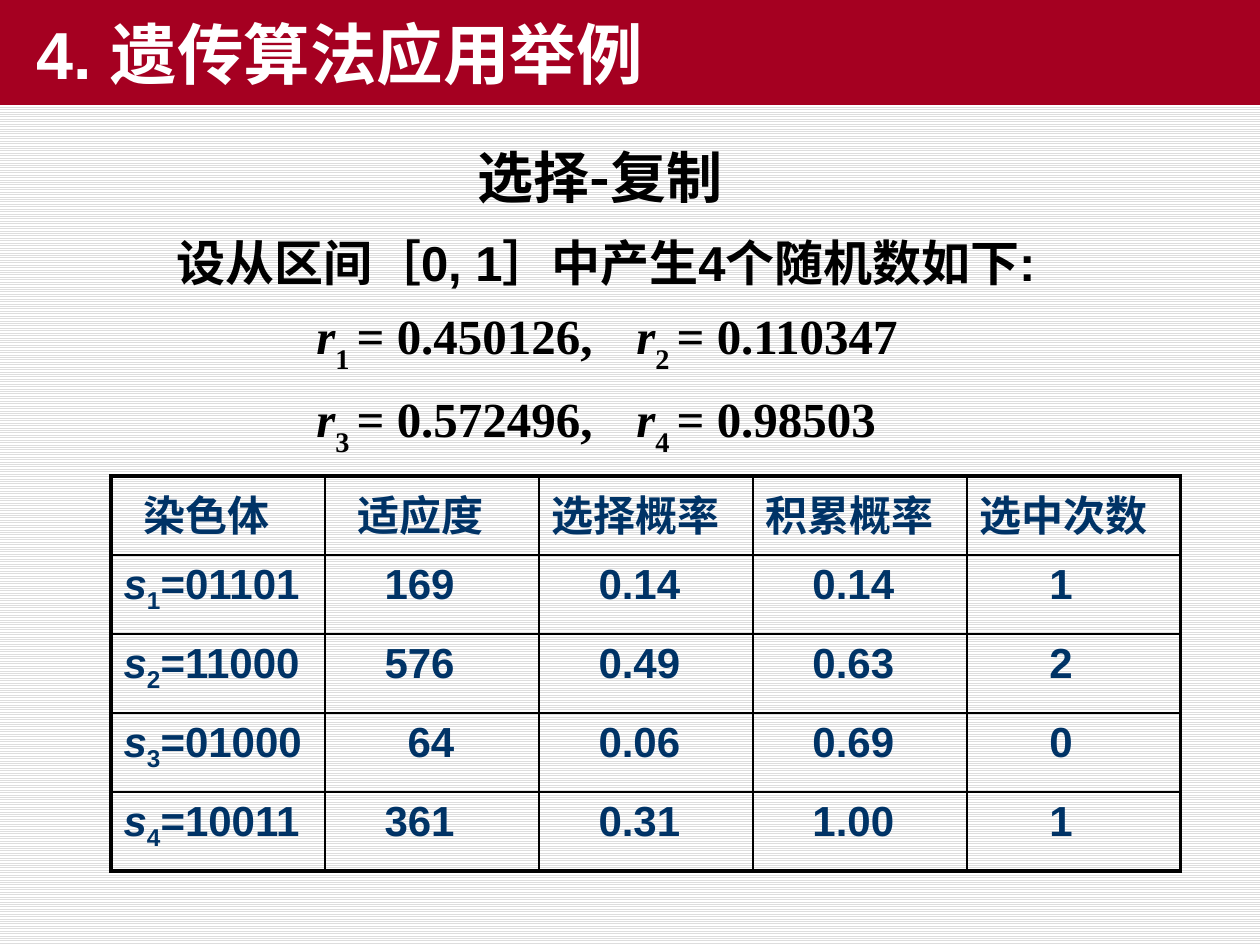
from lxml.etree import SubElement
from pptx import Presentation
from pptx.dml.color import RGBColor
from pptx.enum.dml import MSO_PATTERN
from pptx.enum.text import MSO_ANCHOR, MSO_AUTO_SIZE, PP_ALIGN
from pptx.oxml.ns import qn
from pptx.util import Pt

COLORS = {"banner": "A50021", "title": "FFFFFF", "text": "000000", "table": "003366",
          "stripe": "DDDDDD", "paper": "FFFFFF", "rule": "000000"}
HAN = "Noto Sans CJK SC"


def px(length):
    return round(length * 914400 / 126)


def rgb(name):
    return RGBColor.from_string(COLORS[name])


class SlideBuilder:
    """Holds the current slide and its style, with one method per kind of element."""

    def __init__(self, slide):
        self.slide = slide

    def background(self):
        fill = self.slide.background.fill
        fill.patterned()
        fill.pattern = MSO_PATTERN.LIGHT_HORIZONTAL
        fill.fore_color.rgb = rgb("stripe")
        fill.back_color.rgb = rgb("paper")

    def set_text(self, paragraph, pieces, size, color="text", face="Arial",
                 align=PP_ALIGN.LEFT, indent=0, tab=None):
        properties = paragraph._p.get_or_add_pPr()
        properties.set("marL", "0")
        properties.set("indent", str(px(indent)))
        if tab:
            stops = SubElement(properties, qn("a:tabLst"))
            SubElement(stops, qn("a:tab"), pos=str(px(tab)), algn="l")
        paragraph.alignment = align
        font = paragraph.font
        font.name, font.size, font.bold = face, Pt(size), True
        font.color.rgb = rgb(color)
        SubElement(font._rPr, qn("a:ea"), typeface=HAN)
        for text, italic, baseline in pieces:
            run = paragraph.add_run()
            run.text = text
            if italic:
                run.font.italic = True
            if baseline:
                run.font._rPr.set("baseline", str(baseline * 1000))

    def title(self, text, left, top, width, height):
        banner = self.slide.shapes.title
        banner.left, banner.top, banner.width, banner.height = map(px, (left, top, width, height))
        banner.fill.solid()
        banner.fill.fore_color.rgb = rgb("banner")
        frame = banner.text_frame
        frame.auto_size = MSO_AUTO_SIZE.NONE
        frame.vertical_anchor = MSO_ANCHOR.MIDDLE
        self.set_text(frame.paragraphs[0], plain(text), 38, "title", indent=24)

    def text_box(self, left, top, width, height):
        frame = self.slide.shapes.add_textbox(*map(px, (left, top, width, height))).text_frame
        frame.word_wrap = True
        return frame

    def border(self, cell, side, width):
        line = SubElement(cell._tc.get_or_add_tcPr(), qn(f"a:ln{side}"), w=str(Pt(width)))
        fill = SubElement(line, qn("a:solidFill"))
        SubElement(fill, qn("a:srgbClr"), val=COLORS["rule"])

    def table(self, rows, left, top, column_width, row_height):
        last_row, last_column = len(rows) - 1, len(rows[0]) - 1
        size = column_width * len(rows[0]), row_height * len(rows)
        table = self.slide.shapes.add_table(
            len(rows), len(rows[0]), *map(px, (left, top, *size))).table
        table.first_row = table.horz_banding = False
        for column in table.columns:
            column.width = px(column_width)
        for r, row in enumerate(rows):
            table.rows[r].height = px(row_height)
            for c, (pieces, indent) in enumerate(row):
                cell = table.cell(r, c)
                outer = {"L": c == 0, "R": c == last_column, "T": r == 0, "B": r == last_row}
                for side, is_outer in outer.items():
                    self.border(cell, side, 2.25 if is_outer else 1)
                cell.fill.background()
                self.set_text(cell.text_frame.paragraphs[0], pieces, 24, "table", indent=indent)


def plain(text):
    return [(text, False, 0)]


def symbol(letter, index, rest, drop):
    return [(letter, True, 0), (index, False, drop), (rest, False, 0)]


def main():
    deck = Presentation()
    deck.slide_width, deck.slide_height = px(1260), px(945)
    page = SlideBuilder(deck.slides.add_slide(deck.slide_layouts[5]))
    page.background()
    page.title("4. 遗传算法应用举例", 0, 0, 1260, 105)

    heading = page.text_box(320, 136, 560, 81)
    page.set_text(heading.paragraphs[0], plain("选择-复制"), 32, face=HAN, align=PP_ALIGN.CENTER)

    draws = page.text_box(120, 215, 1056, 227)
    intro = draws.paragraphs[0]
    intro.line_spacing = 1.2
    page.set_text(intro, plain("设从区间［0, 1］中产生4个随机数如下:"), 28, indent=44)
    pairs = [(("1", "0.450126"), ("2", "0.110347")), (("3", "0.572496"), ("4", "0.98503"))]
    for (first, first_value), (second, second_value) in pairs:
        line = draws.add_paragraph()
        line.line_spacing = 1.2
        pieces = (symbol("r", f"{first} ", f"= {first_value},\t", -30)
                  + symbol("r", f"{second} ", f"= {second_value}", -30))
        page.set_text(line, pieces, 28, face="Times New Roman", indent=184, tab=496)

    headers = [("染色体", 20), ("适应度", 20), ("选择概率", 0), ("积累概率", 0), ("选中次数", 0)]
    chromosomes = [("01101", "169", "0.14", "0.14", "1"), ("11000", "576", "0.49", "0.63", "2"),
                   ("01000", "64", "0.06", "0.69", "0"), ("10011", "361", "0.31", "1.00", "1")]
    rows = [[(plain(text), indent) for text, indent in headers]]
    for index, (genes, fitness, chance, total, picks) in enumerate(chromosomes, 1):
        rows.append([(symbol("s", str(index), f"={genes}", -25), 0),
                     (plain(fitness), 47 + 23 * (3 - len(fitness))),
                     (plain(chance), 47), (plain(total), 47), (plain(picks), 70)])
    page.table(rows, 111, 476, 214, 79)
    deck.save("out.pptx")


if __name__ == "__main__":
    main()
